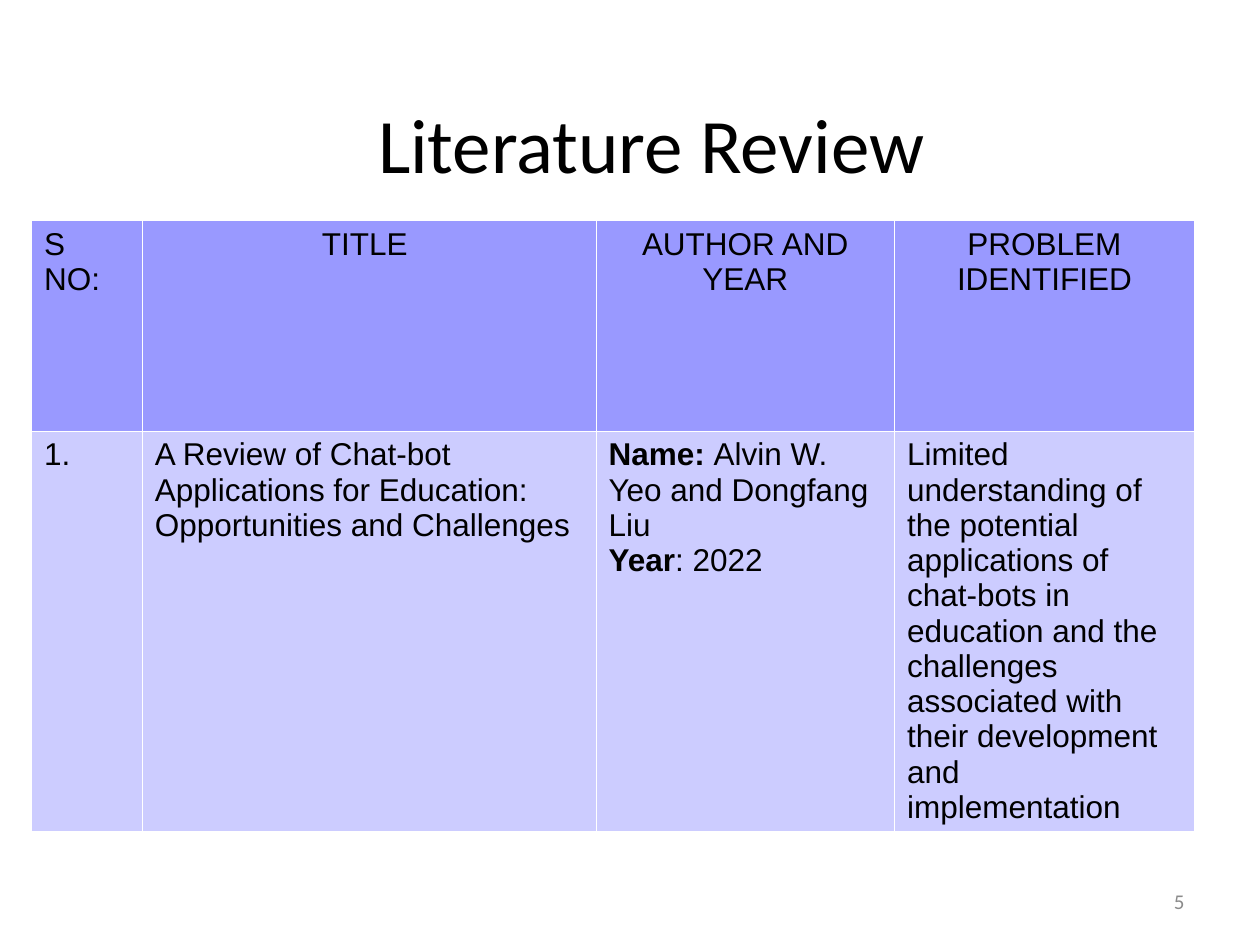
from lxml import etree
from pptx import Presentation
from pptx import util as u
from pptx.dml.color import RGBColor
from pptx.enum import text
from pptx.oxml.ns import qn

LEFT, CENTER, RIGHT = text.PP_ALIGN.LEFT, text.PP_ALIGN.CENTER, text.PP_ALIGN.RIGHT


def add_run(p, words, color="000000", **fmt):
    r = p.add_run()
    r.text = words
    r.font.color.rgb = RGBColor.from_string(color)
    for name, value in fmt.items():
        setattr(r.font, name, value)


def add_borders(cell, color, width):
    """Line all four sides of a table cell; the lines go before its fill."""
    tc_pr = cell._tc.get_or_add_tcPr()
    for i, side in enumerate(("a:lnL", "a:lnR", "a:lnT", "a:lnB")):
        ln = etree.Element(qn(side), w=str(u.Pt(width)))
        fill = etree.SubElement(ln, qn("a:solidFill"))
        etree.SubElement(fill, qn("a:srgbClr"), val=color)
        tc_pr.insert(i, ln)


prs = Presentation()
prs.slide_width, prs.slide_height = u.Inches(10), u.Inches(7.5)
slide = prs.slides.add_slide(prs.slide_layouts[5])

# Title
title = slide.shapes.title
title.left, title.top = u.Inches(0.92), u.Inches(0.33)
title.width, title.height = u.Inches(8.5), u.Inches(1.61)
tf = title.text_frame
tf.vertical_anchor = text.MSO_ANCHOR.MIDDLE
for side in ("left", "right", "top", "bottom"):
    setattr(tf, f"margin_{side}", 0)
p = tf.paragraphs[0]
p.alignment = CENTER
add_run(p, "Literature Review", size=u.Pt(44), name="Calibri")

# Review table: cells hold paragraphs, paragraphs hold (words, bold) runs
headers = ["S NO:", "TITLE ", "AUTHOR AND YEAR", "PROBLEM IDENTIFIED"]
review = [
    [[("1.", False)]],
    [[("A Review of Chat-bot Applications for Education: "
       "Opportunities and Challenges", False)]],
    [[("Name: ", True), ("Alvin W. Yeo and Dongfang Liu", False)],
     [("Year", True), (": 2022", False)]],
    [[("Limited understanding of the potential applications of chat-bots "
       "in education and the challenges", False)],
     [("associated with their development and implementation", False)]],
]
rows = [[[[(h, False)]] for h in headers], review]
fills = ["9999FF", "CCCCFF"]
widths = [0.88, 3.6, 2.37, 2.38]

table = slide.shapes.add_table(len(rows), len(widths), u.Inches(0.25), u.Inches(1.75),
                               u.Inches(sum(widths)), u.Inches(3.34)).table
for col, width in zip(table.columns, widths):
    col.width = u.Inches(width)
for i, (row, fill) in enumerate(zip(rows, fills)):
    table.rows[i].height = u.Inches(1.67)
    for j, paragraphs in enumerate(row):
        cell = table.cell(i, j)
        cell.fill.solid()
        cell.fill.fore_color.rgb = RGBColor.from_string(fill)
        add_borders(cell, "FFFFFF", 0.06)
        tf = cell.text_frame
        for k, runs in enumerate(paragraphs):
            p = tf.add_paragraph() if k else tf.paragraphs[0]
            p.alignment = CENTER if i == 0 and j > 0 else LEFT
            for words, bold in runs:
                add_run(p, words, size=u.Pt(18), name="Arial", bold=bold)

# Page number
number = slide.shapes.add_textbox(u.Inches(7.17), u.Inches(6.95), u.Inches(2.33), u.Inches(0.4))
tf = number.text_frame
tf.word_wrap = True
tf.vertical_anchor = text.MSO_ANCHOR.MIDDLE
p = tf.paragraphs[0]
p.alignment = RIGHT
add_run(p, "5", "8B8B8B", size=u.Pt(12), name="Calibri")

prs.save("out.pptx")
